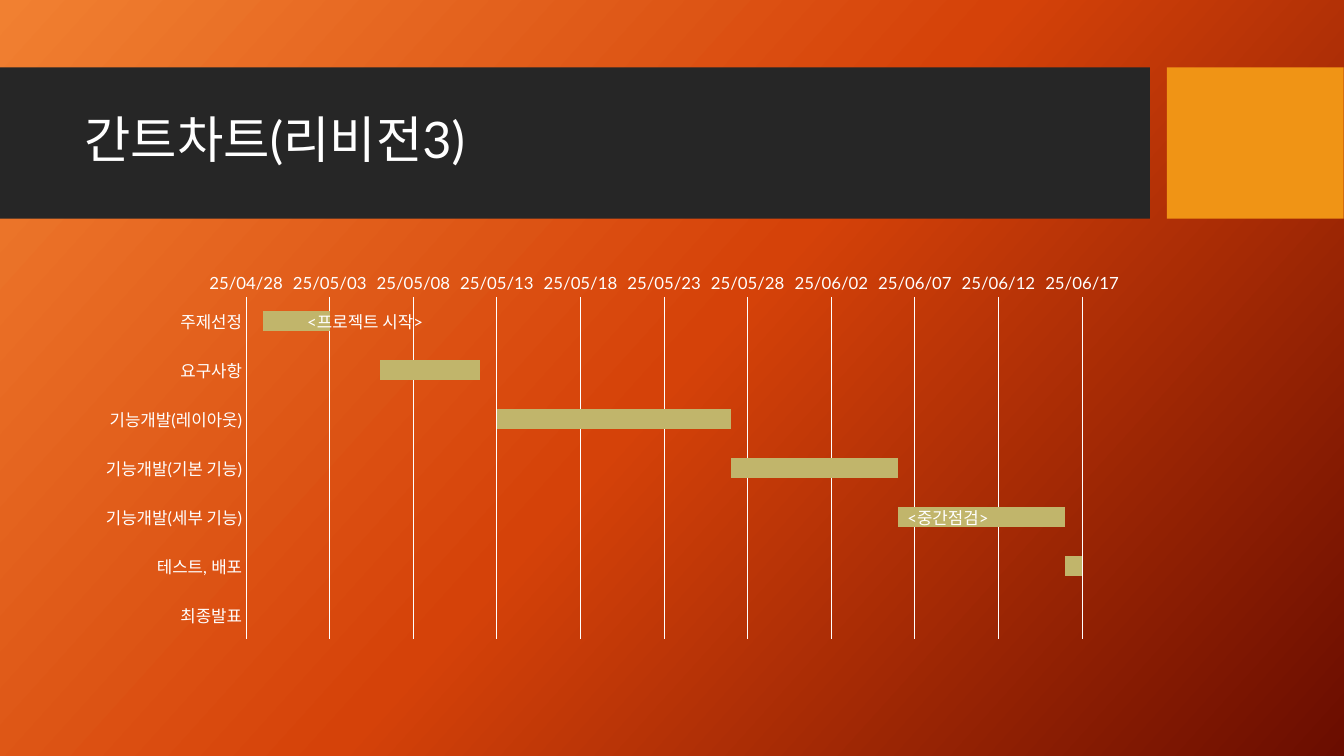
from copy import deepcopy
from dataclasses import dataclass

from lxml.etree import SubElement
from pptx import Presentation
from pptx.chart.data import CategoryChartData
from pptx.dml.color import RGBColor
from pptx.enum.chart import XL_CHART_TYPE, XL_LABEL_POSITION, XL_TICK_MARK
from pptx.enum.shapes import MSO_SHAPE
from pptx.enum.text import MSO_ANCHOR
from pptx.oxml.ns import qn
from pptx.util import Cm, Pt

WHITE = RGBColor(0xFF, 0xFF, 0xFF)
CHARCOAL = RGBColor(0x26, 0x26, 0x26)
AMBER = RGBColor(0xF0, 0x94, 0x15)
KHAKI = RGBColor(0xC1, 0xB5, 0x6B)
GRADIENT = (
    (0, RGBColor(0xF1, 0x80, 0x31)),
    (0.5, RGBColor(0xD5, 0x42, 0x09)),
    (1, RGBColor(0x6A, 0x0D, 0x00)),
)
FONT = "Lato"
FIRST_DAY, LAST_DAY, DAY_STEP = 45775, 45825, 5


@dataclass
class Band:
    left: float
    width: float
    color: RGBColor


@dataclass
class Task:
    name: str
    start: int
    days: int
    note: str = ""
    shift_percent: float = 0


BANDS = (Band(0, 28.98, CHARCOAL), Band(29.41, 4.45, AMBER))
TASKS = (
    Task("주제선정", 45776, 4, "<프로젝트 시작>", 6.5),
    Task("요구사항", 45783, 6),
    Task("기능개발(레이아웃)", 45790, 14),
    Task("기능개발(기본 기능)", 45804, 10),
    Task("기능개발(세부 기능)", 45814, 10, "<중간점검>", -3.2),
    Task("테스트, 배포", 45824, 6),
    Task("최종발표", 45831, 8),
)


def style_font(font, size: float, color: RGBColor = WHITE) -> None:
    font.name = FONT
    font.size = Pt(size)
    font.color.rgb = color


def write_text(tf, text: str, *, size: float, color: RGBColor = WHITE,
               spacing: float | None = None) -> None:
    p = tf.paragraphs[0]
    p.line_spacing = spacing
    r = p.add_run()
    r.text = text
    style_font(r.font, size, color)


def paint_background(s) -> None:
    fill = s.background.fill
    fill.gradient()
    fill.gradient_angle = 318
    stop_list = s.element.find(".//" + qn("a:gsLst"))
    stop_list.append(deepcopy(stop_list[0]))
    for stop, (position, color) in zip(fill.gradient_stops, GRADIENT):
        stop.position = position
        stop.color.rgb = color


def add_band(s, band: Band) -> None:
    sp = s.shapes.add_shape(MSO_SHAPE.RECTANGLE, Cm(band.left), Cm(1.7),
                            Cm(band.width), Cm(3.81))
    sp.shadow.inherit = False
    sp.fill.solid()
    sp.fill.fore_color.rgb = band.color
    sp.line.fill.background()


def add_title(s, text: str) -> None:
    sp = s.shapes.add_textbox(Cm(1.88), Cm(2.08), Cm(26.7), Cm(3))
    tf = sp.text_frame
    tf.word_wrap = True
    tf.vertical_anchor = MSO_ANCHOR.MIDDLE
    write_text(tf, text, size=36, spacing=0.9)


def fill_layout(layout, modes: dict[str, str], **percents: float) -> None:
    manual = SubElement(layout, qn("c:manualLayout"))
    shares = {tag: str(round(value / 100, 3)) for tag, value in percents.items()}
    for tag, value in (modes | shares).items():
        SubElement(manual, qn(f"c:{tag}")).set("val", value)


def place_plot(chart) -> None:
    area = chart.element.find(".//" + qn("c:plotArea"))
    for old in area.findall(qn("c:layout")):
        area.remove(old)
    layout = SubElement(area, qn("c:layout"))
    area.insert(0, layout)
    modes = {"layoutTarget": "inner", "xMode": "edge", "yMode": "edge"}
    fill_layout(layout, modes, x=16.2, y=9.8, w=78.9, h=86.3)


def add_notes_to_bars(chart, series) -> None:
    noted = [(i, task) for i, task in enumerate(TASKS) if task.note]
    for i, task in noted:
        label = series.points[i].data_label
        write_text(label.text_frame, task.note, size=12)
        label.position = XL_LABEL_POSITION.CENTER
    for (_, task), label in zip(noted, chart.element.iter(qn("c:dLbl"))):
        layout = SubElement(label, qn("c:layout"))
        label.find(qn("c:idx")).addnext(layout)
        fill_layout(layout, {}, x=task.shift_percent, y=0)
    for leader in chart.element.iter(qn("c:showLeaderLines")):
        leader.set("val", "0")


def style_axes(chart) -> None:
    cat, val = chart.category_axis, chart.value_axis
    for axis in (cat, val):
        axis.major_tick_mark = axis.minor_tick_mark = XL_TICK_MARK.NONE
        style_font(axis.tick_labels.font, 12)
    cat.reverse_order = True
    val.minimum_scale, val.maximum_scale = FIRST_DAY, LAST_DAY
    val.major_unit = DAY_STEP
    val.tick_labels.number_format = "yy/mm/dd"
    val.tick_labels.number_format_is_linked = False
    val.has_major_gridlines = True
    val.format.line.fill.background()
    for line in (cat.format.line, val.major_gridlines.format.line):
        line.color.rgb = WHITE
        line.width = Pt(0.75)


def add_gantt(s) -> None:
    data = CategoryChartData()
    data.categories = [task.name for task in TASKS]
    data.add_series("Series 1", [task.start for task in TASKS])
    data.add_series("Series 2", [task.days for task in TASKS])
    chart = s.shapes.add_chart(XL_CHART_TYPE.BAR_STACKED, Cm(1.88), Cm(6.5),
                               Cm(26.7), Cm(10), data).chart
    chart.has_legend = False
    chart.has_title = False
    style_font(chart.font, 10)
    plot = chart.plots[0]
    plot.vary_by_categories = False
    plot.gap_width = 150
    plot.overlap = 100
    starts, days = plot.series
    starts.format.fill.background()
    days.format.fill.solid()
    days.format.fill.fore_color.rgb = KHAKI
    style_axes(chart)
    place_plot(chart)
    add_notes_to_bars(chart, days)


def main() -> None:
    prs = Presentation()
    prs.slide_width, prs.slide_height = Cm(33.87), Cm(19.05)
    s = prs.slides.add_slide(prs.slide_layouts[6])
    paint_background(s)
    for band in BANDS:
        add_band(s, band)
    add_title(s, "간트차트(리비전3)")
    add_gantt(s)
    prs.save("out.pptx")


if __name__ == "__main__":
    main()
